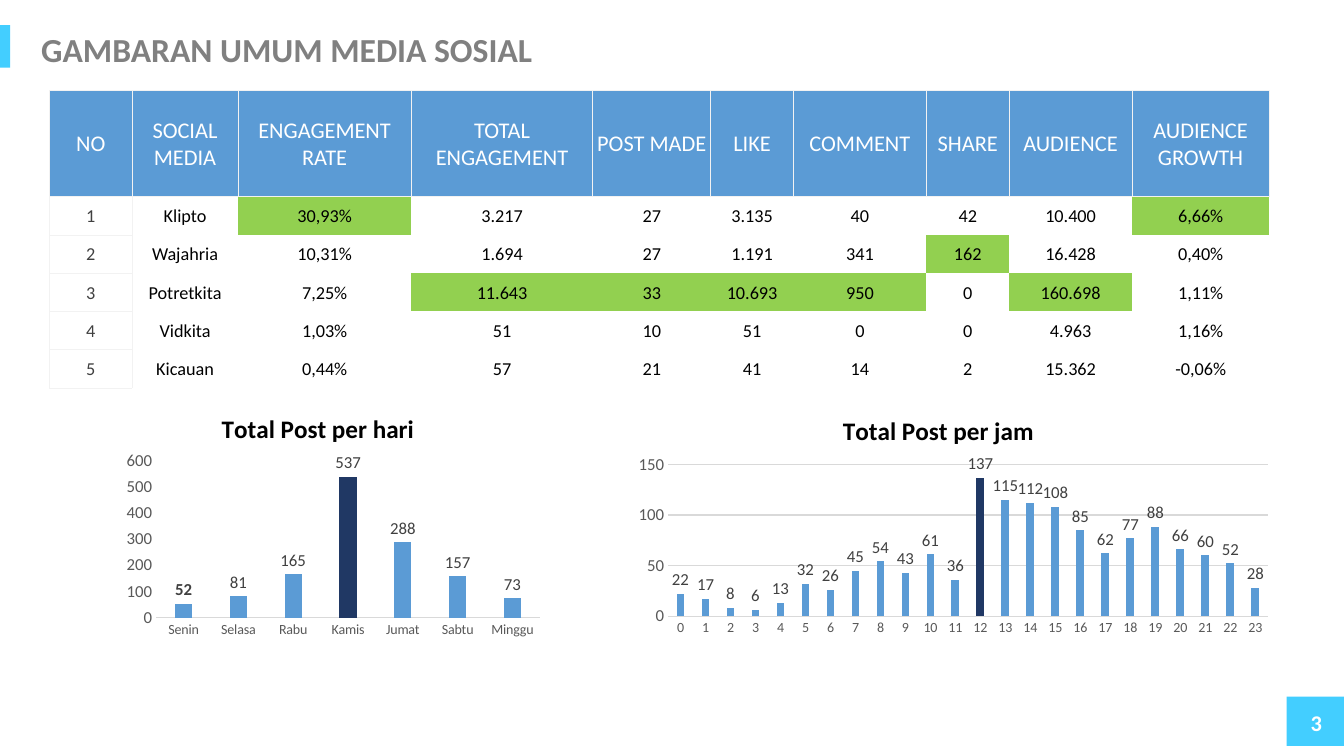
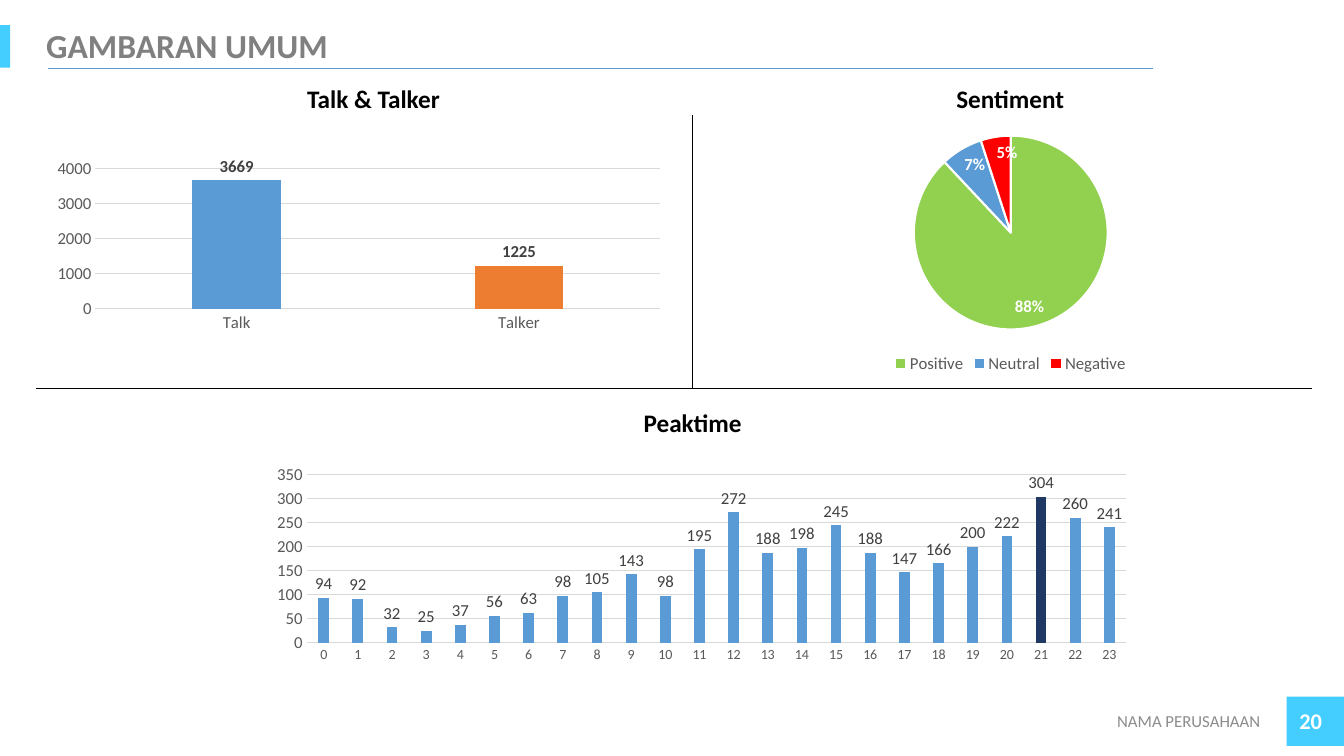
from dataclasses import dataclass

from lxml.etree import SubElement
from pptx import Presentation
from pptx.chart.data import CategoryChartData
from pptx.dml.color import RGBColor
from pptx.enum.chart import XL_CHART_TYPE, XL_LABEL_POSITION, XL_LEGEND_POSITION, XL_TICK_MARK
from pptx.enum.shapes import MSO_CONNECTOR, MSO_SHAPE
from pptx.enum.text import MSO_ANCHOR, PP_ALIGN
from pptx.oxml import parse_xml
from pptx.oxml.ns import nsdecls, qn
from pptx.util import Inches, Pt


@dataclass(frozen=True)
class Theme:
    font: str = "Calibri"
    accent: str = "43CEFF"
    blue: str = "5B9BD5"
    navy: str = "203864"
    orange: str = "ED7D31"
    green: str = "92D050"
    red: str = "FF0000"
    white: str = "FFFFFF"
    black: str = "000000"
    title_gray: str = "808080"
    footer_gray: str = "8C8C8C"
    axis_gray: str = "595959"
    label_gray: str = "404040"
    grid_gray: str = "D9D9D9"
    border_gray: str = "F2F2F2"
    title: int = 24
    heading: int = 18
    large: int = 16
    body: int = 13
    label: int = 12
    small: int = 10


T = Theme()
HOURS = [str(hour) for hour in range(24)]


@dataclass(frozen=True)
class Box:
    x: float
    y: float
    w: float
    h: float

    def inside(self, dx, dy, w, h):
        return Box(self.x + dx, self.y + dy, w, h)

    def emu(self):
        return [Inches(v) for v in (self.x, self.y, self.w, self.h)]


def rgb(color):
    return RGBColor.from_string(color)


def set_font(font, size, color, bold=False):
    font.name = T.font
    font.size = Pt(size)
    font.bold = bold
    font.color.rgb = rgb(color)


def write(tf, text, size=T.body, color=T.black, bold=False, align=PP_ALIGN.LEFT, spacing=None):
    p = tf.paragraphs[0]
    p.alignment = align
    if spacing:
        p.line_spacing = spacing
    r = p.add_run()
    r.text = text
    set_font(r.font, size, color, bold)


def add_text(s, box, text, anchor=MSO_ANCHOR.MIDDLE, wrap=True, **fmt):
    tf = s.shapes.add_textbox(*box.emu()).text_frame
    tf.word_wrap = wrap
    tf.vertical_anchor = anchor
    write(tf, text, **fmt)


def add_heading(s, box, text):
    add_text(s, box, text, anchor=MSO_ANCHOR.TOP, wrap=False,
             size=T.heading, bold=True, align=PP_ALIGN.CENTER)


def add_bar(s, box):
    sp = s.shapes.add_shape(MSO_SHAPE.RECTANGLE, *box.emu())
    sp.shadow.inherit = False
    sp.fill.solid()
    sp.fill.fore_color.rgb = rgb(T.accent)
    sp.line.fill.background()


def add_line(s, x1, y1, x2, y2, color=T.black, width=0.5):
    line = s.shapes.add_connector(MSO_CONNECTOR.STRAIGHT, *[Inches(v) for v in (x1, y1, x2, y2)])
    line.line.color.rgb = rgb(color)
    line.line.width = Pt(width)
    SubElement(line._element.spPr, qn("a:effectLst"))


def add_base(prs, title, title_box, number, number_box):
    s = prs.slides.add_slide(prs.slide_layouts[6])
    add_bar(s, Box(12.76, 6.91, 0.58, 0.49))
    add_bar(s, Box(0, 0.25, 0.1, 0.42))
    add_text(s, title_box, title, size=T.title, color=T.title_gray, bold=True, spacing=0.9)
    add_text(s, number_box, number, size=T.large, color=T.white, bold=True, align=PP_ALIGN.RIGHT)
    return s


def manual_layout(x, y, w=None, h=None):
    if w is None:
        tags = dict(xMode="edge", yMode="edge", x=x, y=y)
    else:
        tags = dict(layoutTarget="inner", xMode="edge", yMode="edge", x=x, y=y, w=w, h=h)
    parts = "".join(f'<c:{tag} val="{val}"/>' for tag, val in tags.items())
    return parse_xml(f'<c:layout {nsdecls("c")}><c:manualLayout>{parts}</c:manualLayout></c:layout>')


def replace_layout(parent, layout, index):
    for old in parent.findall(qn("c:layout")):
        parent.remove(old)
    parent.insert(index, layout)


def add_chart(s, box, kind, cats, vals, plot):
    data = CategoryChartData()
    data.categories = cats
    data.add_series("Series 1", vals)
    chart = s.shapes.add_chart(kind, *box.emu(), data).chart
    set_font(chart.font, T.small, T.black)
    chart.has_title = False
    chart.has_legend = False
    chart.plots[0].vary_by_categories = False
    replace_layout(chart._chartSpace.chart.plotArea, manual_layout(*plot), 0)
    return chart


def color_point(series, index, color):
    fill = series.points[index].format.fill
    fill.solid()
    fill.fore_color.rgb = rgb(color)


def add_labels(series, position, color=T.label_gray, bold=False):
    labels = series.data_labels
    labels.position = position
    set_font(labels.font, T.label, color, bold)
    return labels


def add_column_chart(s, box, cats, vals, plot, top, step, points, grid=True,
                     cat_size=T.small, bold=False):
    chart = add_chart(s, box, XL_CHART_TYPE.COLUMN_CLUSTERED, cats, vals, plot)
    columns = chart.plots[0]
    columns.gap_width = 219
    columns.overlap = -27
    series = columns.series[0]
    series.format.fill.solid()
    series.format.fill.fore_color.rgb = rgb(T.blue)
    for index, color in points.items():
        color_point(series, index, color)
    add_labels(series, XL_LABEL_POSITION.OUTSIDE_END, bold=bold).show_value = True

    cat_axis, val_axis = chart.category_axis, chart.value_axis
    for axis, size in ((cat_axis, cat_size), (val_axis, T.label)):
        axis.major_tick_mark = axis.minor_tick_mark = XL_TICK_MARK.NONE
        set_font(axis.tick_labels.font, size, T.axis_gray)
    lines = [cat_axis.format.line]
    val_axis.format.line.fill.background()
    val_axis.minimum_scale, val_axis.maximum_scale, val_axis.major_unit = 0, top, step
    val_axis.has_major_gridlines = grid
    if grid:
        lines.append(val_axis.major_gridlines.format.line)
    for line in lines:
        line.color.rgb = rgb(T.grid_gray)
        line.width = Pt(0.75)
    return chart


def title_chart(chart, text, x, y):
    title = chart.chart_title
    write(title.text_frame, text, size=T.heading, bold=True, align=PP_ALIGN.CENTER)
    title.include_in_layout = False
    replace_layout(title._element, manual_layout(x, y), 1)


def add_border(cell):
    tc_pr = cell._tc.get_or_add_tcPr()
    for side in "LRTB":
        tc_pr.append(parse_xml(
            f'<a:ln{side} {nsdecls("a")} w="6350"><a:solidFill>'
            f'<a:srgbClr val="{T.border_gray}"/></a:solidFill></a:ln{side}>'))


def add_media_table(s, box):
    rows = [
        ["NO", "SOCIAL MEDIA", "ENGAGEMENT RATE", "TOTAL ENGAGEMENT", "POST MADE", "LIKE",
         "COMMENT", "SHARE", "AUDIENCE", "AUDIENCE GROWTH"],
        ["1", "Klipto", "30,93%", "3.217", "27", "3.135", "40", "42", "10.400", "6,66%"],
        ["2", "Wajahria", "10,31%", "1.694", "27", "1.191", "341", "162", "16.428", "0,40%"],
        ["3", "Potretkita", "7,25%", "11.643", "33", "10.693", "950", "0", "160.698", "1,11%"],
        ["4", "Vidkita", "1,03%", "51", "10", "51", "0", "0", "4.963", "1,16%"],
        ["5", "Kicauan", "0,44%", "57", "21", "41", "14", "2", "15.362", "-0,06%"],
    ]
    widths = [0.82, 1.05, 1.72, 1.8, 1.17, 0.82, 1.32, 0.82, 1.22, 1.36]
    best = {(1, 2), (1, 9), (2, 7), (3, 3), (3, 4), (3, 5), (3, 6), (3, 8)}
    table = s.shapes.add_table(len(rows), len(widths), *box.emu()).table
    table.first_row = table.horz_banding = False
    table._tbl.tblPr.find(qn("a:tableStyleId")).text = "{2D5ABB26-0587-4C30-8999-92F81FD0307C}"
    for column, width in zip(table.columns, widths):
        column.width = Inches(width)
    for i, values in enumerate(rows):
        header = i == 0
        table.rows[i].height = Inches(1.05 if header else 0.38)
        for j, value in enumerate(values):
            cell = table.cell(i, j)
            cell.vertical_anchor = MSO_ANCHOR.MIDDLE
            cell.margin_left = cell.margin_right = cell.margin_top = Inches(0.01)
            cell.margin_bottom = 0
            if header or j == 0:
                add_border(cell)
            if header or (i, j) in best:
                cell.fill.solid()
                cell.fill.fore_color.rgb = rgb(T.blue if header else T.green)
            else:
                cell.fill.background()
            color = T.white if header else T.label_gray if j == 0 else T.black
            write(cell.text_frame, value, size=T.large if header else T.body,
                  color=color, align=PP_ALIGN.CENTER)


def add_daily_posts(s, box):
    days = ["Senin", "Selasa", "Rabu", "Kamis", "Jumat", "Sabtu", "Minggu"]
    chart = add_column_chart(s, box, days, [52, 81, 165, 537, 288, 157, 73],
                             (0.12, 0.23, 0.88, 0.5), 600, 100, {3: T.navy}, grid=False)
    title_chart(chart, "Total Post per hari", 0.26, 0.06)
    first_label = chart.plots[0].series[0].points[0].data_label
    set_font(first_label.font, T.label, T.label_gray, True)
    first_label.position = XL_LABEL_POSITION.OUTSIDE_END


def add_hourly_posts(s, box):
    vals = [22, 17, 8, 6, 13, 32, 26, 45, 54, 43, 61, 36,
            137, 115, 112, 108, 85, 62, 77, 88, 66, 60, 52, 28]
    chart = add_column_chart(s, box, HOURS, vals, (0.1, 0.285, 0.88, 0.5), 150, 50, {12: T.navy})
    title_chart(chart, "Total Post per jam", 0.35, 0.1)


def add_talk(s, box):
    add_heading(s, box.inside(2.58, 0.1, 1.53, 0.4), "Talk & Talker")
    add_column_chart(s, box.inside(0.21, 0.83, 6.1, 2.07), ["Talk", "Talker"], [3669, 1225],
                     (0.06, 0.08, 0.92, 0.67), 4000, 1000, {1: T.orange},
                     cat_size=T.label, bold=True)


def add_sentiment(s, box):
    add_heading(s, box.inside(2.51, 0.1, 1.28, 0.4), "Sentiment")
    chart = add_chart(s, box.inside(1.51, 0.54, 3.29, 2.53), XL_CHART_TYPE.PIE,
                      ["Positive", "Neutral", "Negative"], [88, 7, 5], (0.165, 0.05, 0.67, 0.76))
    series = chart.plots[0].series[0]
    for i, color in enumerate((T.green, T.blue, T.red)):
        color_point(series, i, color)
        line = series.points[i].format.line
        line.color.rgb = rgb(T.white)
        line.width = Pt(1.5)
    labels = add_labels(series, XL_LABEL_POSITION.INSIDE_END, T.white, True)
    labels.show_value = False
    labels.show_percentage = True
    labels.number_format = "0%"
    labels.number_format_is_linked = False
    chart.plots[0].vary_by_categories = True
    chart.has_legend = True
    chart.legend.position = XL_LEGEND_POSITION.BOTTOM
    chart.legend.include_in_layout = False
    set_font(chart.legend.font, T.label, T.axis_gray)


def add_peaktime(s, box):
    vals = [94, 92, 32, 25, 37, 56, 63, 98, 105, 143, 98, 195,
            272, 188, 198, 245, 188, 147, 166, 200, 222, 304, 260, 241]
    add_heading(s, box.inside(5.92, 0.14, 1.18, 0.4), "Peaktime")
    add_column_chart(s, box.inside(1.85, 0.6, 9.24, 2.38), HOURS, vals,
                     (0.09, 0.11, 0.88, 0.7), 350, 50, {21: T.navy})


def build_media_slide(prs):
    s = add_base(prs, "GAMBARAN UMUM MEDIA SOSIAL", Box(0.31, 0.15, 12.29, 0.72),
                 "3", Box(12.29, 6.97, 0.92, 0.4))
    add_daily_posts(s, Box(1.03, 3.85, 4.33, 3.12))
    add_hourly_posts(s, Box(5.95, 3.75, 6.76, 3.01))
    add_media_table(s, Box(0.49, 0.9, 12.1, 2.95))


def build_overview_slide(prs):
    s = add_base(prs, "GAMBARAN UMUM", Box(0.36, 0.27, 11.3, 0.41),
                 "20", Box(12.29, 6.95, 0.92, 0.4))
    add_text(s, Box(8.1, 6.95, 4.5, 0.4), "NAMA PERUSAHAAN", size=T.label,
             color=T.footer_gray, align=PP_ALIGN.RIGHT)
    left, middle, right, top, divider = 0.36, 6.87, 13.01, 0.68, 3.85
    add_talk(s, Box(left, top, middle - left, divider - top))
    add_sentiment(s, Box(middle, top, right - middle, divider - top))
    add_peaktime(s, Box(left, divider, right - left, 3))
    add_line(s, 0.48, top, 11.44, top, T.blue, 1)
    add_line(s, middle, 1.14, middle, divider)
    add_line(s, left, divider, right, divider)


def main():
    prs = Presentation()
    prs.slide_width, prs.slide_height = Inches(13.33), Inches(7.5)
    build_media_slide(prs)
    build_overview_slide(prs)
    prs.save("out.pptx")


if __name__ == "__main__":
    main()
